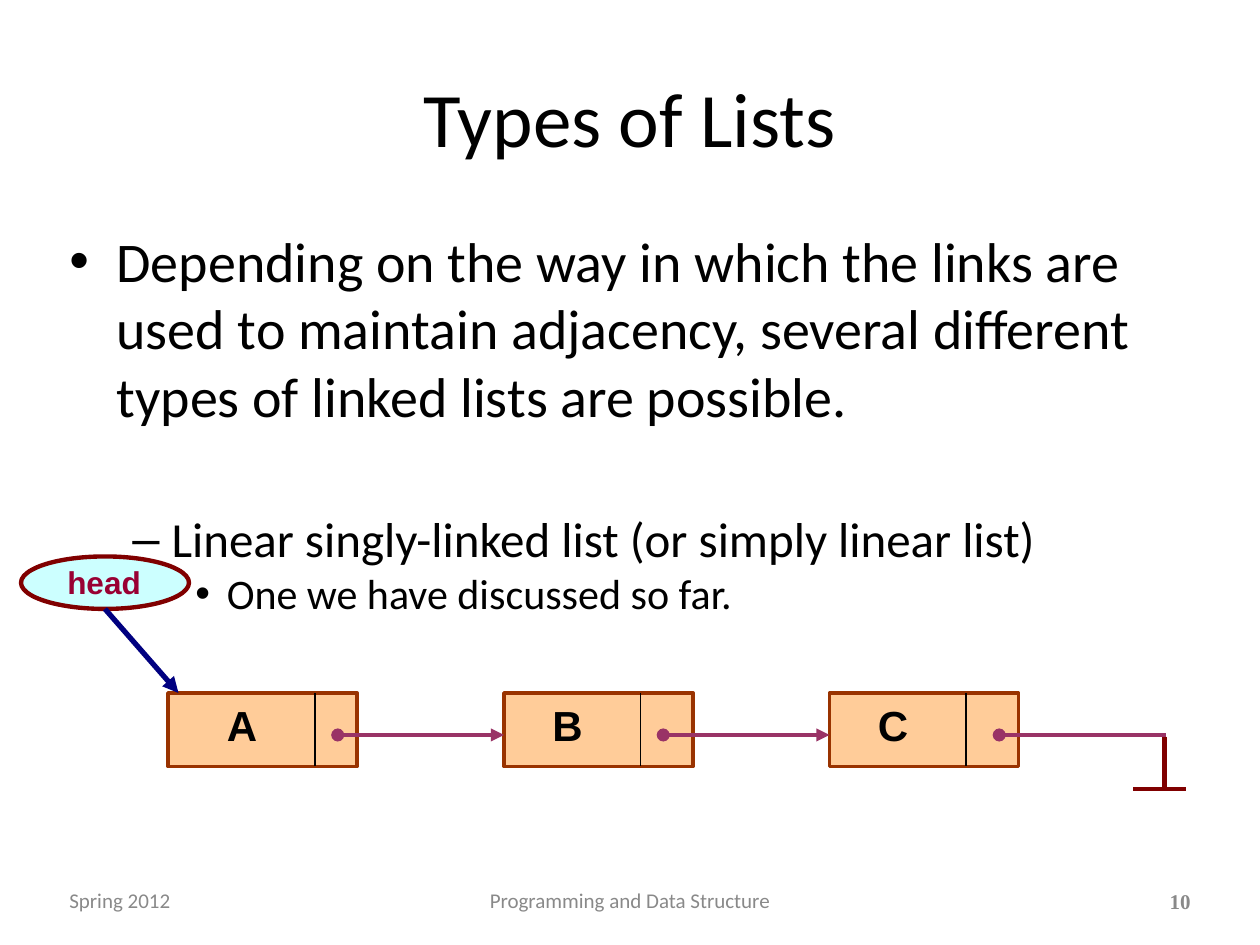
from collections import namedtuple
from dataclasses import dataclass

from lxml.etree import SubElement
from pptx import Presentation
from pptx.dml.color import RGBColor
from pptx.enum.shapes import MSO_CONNECTOR as Connector, MSO_SHAPE as Shape
from pptx.enum.text import MSO_ANCHOR as Anchor, PP_ALIGN as Align
from pptx.oxml.ns import qn
from pptx.util import Pt


@dataclass(frozen=True)
class Theme:
    ink: str = "000000"
    muted: str = "898989"
    node_fill: str = "FFCC99"
    node_line: str = "993300"
    link: str = "993366"
    ground: str = "800000"
    head_fill: str = "CCFFFF"
    head_text: str = "990033"
    head_arrow: str = "000080"
    body_font: str = "Calibri"
    label_font: str = "Arial"
    number_font: str = "Times New Roman"
    title: int = 44
    levels: tuple = (32, 28, 24)
    node: int = 24
    head: int = 18
    footer: int = 12


THEME = Theme()
Node = namedtuple("Node", "label left divider pointer")
NODES = [Node("A", 96, 180, 193), Node("B", 288, 366, 379), Node("C", 474, 552, 571)]
NODE_TOP, NODE_WIDTH, NODE_HEIGHT = 396, 108, 42
LINK_Y, LINK_LENGTH = 420, 95
INDENTS = [(27, 27, "•"), (58.5, 22.5, "–"), (90, 18, "•")]


def color(value):
    return RGBColor.from_string(value)


def format_paragraph(paragraph, text, size=12, font=THEME.body_font, ink=THEME.ink,
                     bold=False, align=Align.LEFT, before=0):
    paragraph.alignment = align
    paragraph.space_before = Pt(before)
    run = paragraph.add_run()
    run.text = text
    run.font.size = Pt(size)
    run.font.name = font
    run.font.bold = bold
    run.font.color.rgb = color(ink)


def add_frame(slide, box, anchor=Anchor.TOP, wrap=True):
    frame = slide.shapes.add_textbox(*map(Pt, box)).text_frame
    frame.word_wrap = wrap
    frame.vertical_anchor = anchor
    frame.margin_left = frame.margin_right = Pt(3.6)
    frame.margin_top = frame.margin_bottom = Pt(3.6)
    return frame


def add_text(slide, text, box, anchor=Anchor.MIDDLE, wrap=True, **text_format):
    frame = add_frame(slide, box, anchor, wrap)
    format_paragraph(frame.paragraphs[0], text, **text_format)


def add_bullets(slide, items, box):
    frame = add_frame(slide, box)
    for index, (level, text, before) in enumerate(items):
        paragraph = frame.add_paragraph() if index else frame.paragraphs[0]
        paragraph.level = level
        format_paragraph(paragraph, text, size=THEME.levels[level], before=before)
        margin, hanging, bullet = INDENTS[level]
        properties = paragraph._p.get_or_add_pPr()
        properties.set("marL", str(Pt(margin)))
        properties.set("indent", str(-Pt(hanging)))
        SubElement(properties, qn("a:buFont"), typeface="Arial")
        SubElement(properties, qn("a:buChar"), char=bullet)


def add_outlined(slide, kind, box, fill, line, width):
    shape = slide.shapes.add_shape(kind, *map(Pt, box))
    shape.shadow.inherit = False
    shape.fill.solid()
    shape.fill.fore_color.rgb = color(fill)
    shape.line.color.rgb = color(line)
    shape.line.width = Pt(width)


def add_line(slide, start, end, ink, width, head=None, tail=None):
    points = map(Pt, (*start, *end))
    connector = slide.shapes.add_connector(Connector.STRAIGHT, *points)
    connector.line.color.rgb = color(ink)
    connector.line.width = Pt(width)
    line = connector.line._get_or_add_ln()
    for tag, kind in (("a:headEnd", head), ("a:tailEnd", tail)):
        if kind:
            SubElement(line, qn(tag), type=kind)
    SubElement(connector._element.spPr, qn("a:effectLst"))


def add_list(slide):
    bottom = NODE_TOP + NODE_HEIGHT
    for node in NODES:
        add_outlined(slide, Shape.RECTANGLE, (node.left, NODE_TOP, NODE_WIDTH, NODE_HEIGHT),
                     THEME.node_fill, THEME.node_line, 2)
    for node in NODES:
        add_line(slide, (node.pointer, LINK_Y), (node.pointer + LINK_LENGTH, LINK_Y),
                 THEME.link, 2.5, head="oval",
                 tail=None if node is NODES[-1] else "triangle")
        add_line(slide, (node.divider, NODE_TOP), (node.divider, bottom), THEME.ink, 0.75)
        add_text(slide, node.label, (node.divider - 54, NODE_TOP, 48, 34.5), Anchor.TOP,
                 size=THEME.node, font=THEME.label_font, bold=True, before=14)
    add_line(slide, (665.5, 421), (665.5, 451), THEME.ground, 2.5)
    add_line(slide, (647.5, 451), (677.5, 451), THEME.ground, 2.5)


def add_head(slide):
    add_outlined(slide, Shape.OVAL, (12, 318, 96, 30), THEME.head_fill, THEME.ground, 2.5)
    add_text(slide, "head", (34.5, 319, 50, 27.5), wrap=False, size=THEME.head,
             font=THEME.label_font, ink=THEME.head_text, bold=True, align=Align.CENTER)
    add_line(slide, (60, 348), (102, NODE_TOP), THEME.head_arrow, 3, tail="triangle")


def add_footer(slide):
    add_text(slide, "Spring 2012", (36, 504, 168, 21),
             size=THEME.footer, ink=THEME.muted)
    add_text(slide, "Programming and Data Structure", (246, 504, 228, 21),
             size=THEME.footer, ink=THEME.muted, align=Align.CENTER)
    add_text(slide, "10", (664, 504, 20, 21.5), wrap=False, size=THEME.footer,
             font=THEME.number_font, ink=THEME.muted, bold=True, align=Align.RIGHT)


def main():
    presentation = Presentation()
    presentation.slide_width, presentation.slide_height = Pt(720), Pt(540)
    slide = presentation.slides.add_slide(presentation.slide_layouts[6])
    add_text(slide, "Types of Lists", (36, 21.5, 648, 90),
             size=THEME.title, align=Align.CENTER)
    add_bullets(slide, [
        (0, "Depending on the way in which the links are used to maintain adjacency, "
            "several different types of linked lists are possible.", 7),
        (1, "Linear singly-linked list (or simply linear list)", 46),
        (2, "One we have discussed so far.", 0),
    ], (36, 126, 648, 356.5))
    add_footer(slide)
    add_list(slide)
    add_head(slide)
    presentation.save("out.pptx")


main()
